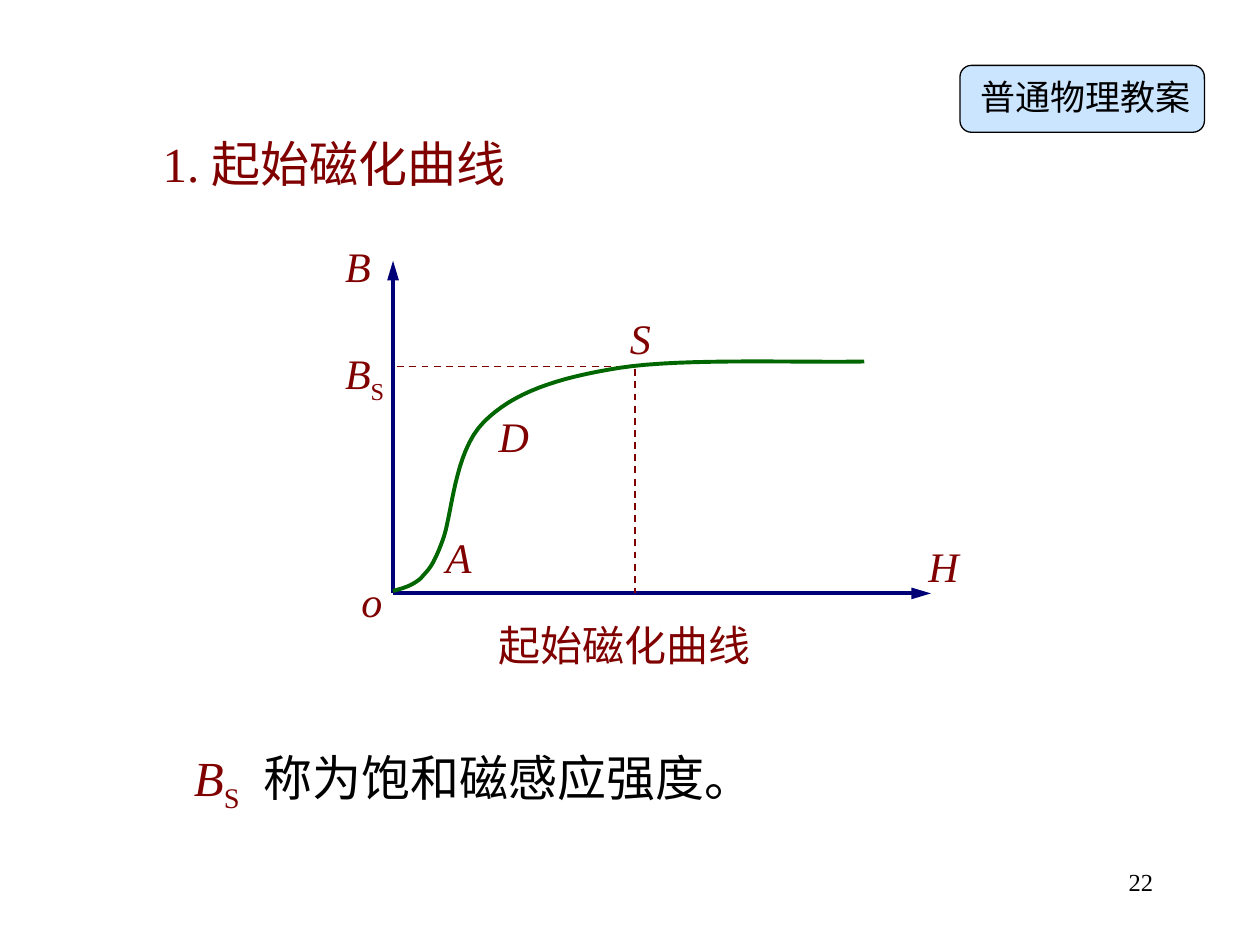
"""Build a physics slide on the initial magnetization curve."""
import dataclasses

import lxml.etree
import pptx
import pptx.dml.color
import pptx.enum.dml
import pptx.enum.shapes
import pptx.enum.text
import pptx.oxml.ns
import pptx.util

Pt = pptx.util.Pt
qn = pptx.oxml.ns.qn
rgb = pptx.dml.color.RGBColor.from_string


@dataclasses.dataclass
class Theme:
    font: str = "Times New Roman"
    black: str = "000000"
    maroon: str = "800000"
    navy: str = "000076"
    green: str = "006600"
    badge: str = "99CCFF"
    heading: int = 28
    label: int = 24
    badge_text: int = 20
    number: int = 14


theme = Theme()


def lay_out(box, left, top, width, height, inset=True):
    box.left, box.top, box.width, box.height = Pt(left), Pt(top), Pt(width), Pt(height)
    frame = box.text_frame
    frame.word_wrap = True
    frame.auto_size = pptx.enum.text.MSO_AUTO_SIZE.NONE
    frame.vertical_anchor = pptx.enum.text.MSO_ANCHOR.TOP
    frame.margin_left = frame.margin_right = Pt(7.2 if inset else 0)
    frame.margin_top = frame.margin_bottom = Pt(3.6 if inset else 0)
    para = frame.paragraphs[0]
    para.alignment = pptx.enum.text.PP_ALIGN.LEFT
    return para


def write(para, text, *, size=theme.label, color=theme.maroon, italic=False, subscript=False):
    span = para.add_run()
    span.text = text
    span.font.name = theme.font
    span.font.size = Pt(size)
    span.font.italic = italic
    span.font.color.rgb = rgb(color)
    if subscript:
        span.font._element.set("baseline", "-25000")


deck = pptx.Presentation()
deck.slide_width, deck.slide_height = Pt(720), Pt(540)
page = deck.slides.add_slide(deck.slide_layouts[5])
shapes = page.shapes

write(lay_out(shapes.title, 85.7, 72.7, 263.5, 41), "1. 起始磁化曲线", size=theme.heading)

origin_x, origin_y = 224.6, 339.1
saturation_x, saturation_y = 362.9, 209.5
lines = [
    (origin_x, origin_y, origin_x, 149, True),
    (origin_x, origin_y, 532, origin_y, True),
    (saturation_x, saturation_y, origin_x, saturation_y, False),
    (saturation_x, 211, saturation_x, origin_y, False),
]
for start_x, start_y, end_x, end_y, is_axis in lines:
    line = shapes.add_connector(
        pptx.enum.shapes.MSO_CONNECTOR.STRAIGHT, Pt(start_x), Pt(start_y), Pt(end_x), Pt(end_y)
    )
    line.line.color.rgb = rgb(theme.navy if is_axis else theme.maroon)
    line.line.width = Pt(2.25 if is_axis else 1)
    if is_axis:
        stroke = line.line._get_or_add_ln()
        lxml.etree.SubElement(stroke, qn("a:tailEnd"), type="triangle", w="med", len="lg")
    else:
        line.line.dash_style = pptx.enum.dml.MSO_LINE.DASH
    lxml.etree.SubElement(line._element.spPr, qn("a:effectLst"))

start = (origin_x, 337.7)
bends = [
    ((230.4, 336.2), (235.4, 334.8), (240.5, 330.5)),
    ((244.8, 325.4), (247, 324.7), (252.7, 309.6)),
    ((258.5, 295.2), (259.2, 258.5), (276.5, 241.2)),
    ((293, 224.6), (317.5, 216), (354.2, 210.2)),
    ((390.2, 204.5), (464.4, 207.4), (493.9, 206.6)),
]
steps = 16
points = []
knot = start
for bend in bends:
    for step in range(1, steps + 1):
        t = step / steps
        weights = ((1 - t) ** 3, 3 * t * (1 - t) ** 2, 3 * t**2 * (1 - t), t**3)
        controls = (knot, *bend)
        points.append(
            tuple(Pt(sum(w * c[axis] for w, c in zip(weights, controls))) for axis in (0, 1))
        )
    knot = bend[-1]
builder = shapes.build_freeform(Pt(start[0]), Pt(start[1]))
builder.add_line_segments(points, close=False)
curve = builder.convert_to_shape()
curve.shadow.inherit = False
curve.fill.background()
curve.line.color.rgb = rgb(theme.green)
curve.line.width = Pt(2.25)

labels = [
    ("B", 190.1, 133.9),
    ("H", 523.4, 305.3),
    ("o", 199.4, 325.4),
    ("A", 247.7, 300.2),
    ("D", 277.9, 231.1),
    ("S", 352.8, 175),
]
for letter, left, top in labels:
    write(lay_out(shapes.add_textbox(0, 0, 0, 0), left, top, 41.8, 36), letter, italic=True)

para = lay_out(shapes.add_textbox(0, 0, 0, 0), 190.1, 195.1, 51.8, 40.3)
write(para, "B", italic=True)
write(para, "S", subscript=True)

write(lay_out(shapes.add_textbox(0, 0, 0, 0), 277.9, 350.6, 178.6, 36), "起始磁化曲线")

para = lay_out(shapes.add_textbox(0, 0, 0, 0), 103.7, 423.4, 403.9, 45.4)
tabs = lxml.etree.SubElement(para._p.get_or_add_pPr(), qn("a:tabLst"))
lxml.etree.SubElement(tabs, qn("a:tab"), pos=str(Pt(40)), algn="l")
write(para, "B", size=theme.heading, italic=True)
write(para, "S", size=theme.heading, subscript=True)
write(para, "\t称为饱和磁感应强度。", size=theme.heading, color=theme.black)

badge = shapes.add_shape(
    pptx.enum.shapes.MSO_SHAPE.ROUNDED_RECTANGLE, Pt(548.6), Pt(37.4), Pt(139.7), Pt(38.2)
)
badge.adjustments[0] = 0.17
badge.shadow.inherit = False
badge.fill.solid()
badge.fill.fore_color.rgb = rgb(theme.badge)
tint = badge._element.spPr.find(qn("a:solidFill")).find(qn("a:srgbClr"))
lxml.etree.SubElement(tint, qn("a:alpha"), val="50000")
badge.line.color.rgb = rgb(theme.black)
badge.line.width = Pt(0.75)
para = lay_out(shapes.add_textbox(0, 0, 0, 0), 560.2, 43.2, 139.7, 28.1, inset=False)
write(para, "普通物理教案", size=theme.badge_text, color=theme.black)

para = lay_out(shapes.add_textbox(0, 0, 0, 0), 516.2, 491.8, 149.8, 36)
para.alignment = pptx.enum.text.PP_ALIGN.RIGHT
write(para, "22", size=theme.number, color=theme.black)

deck.save("out.pptx")
